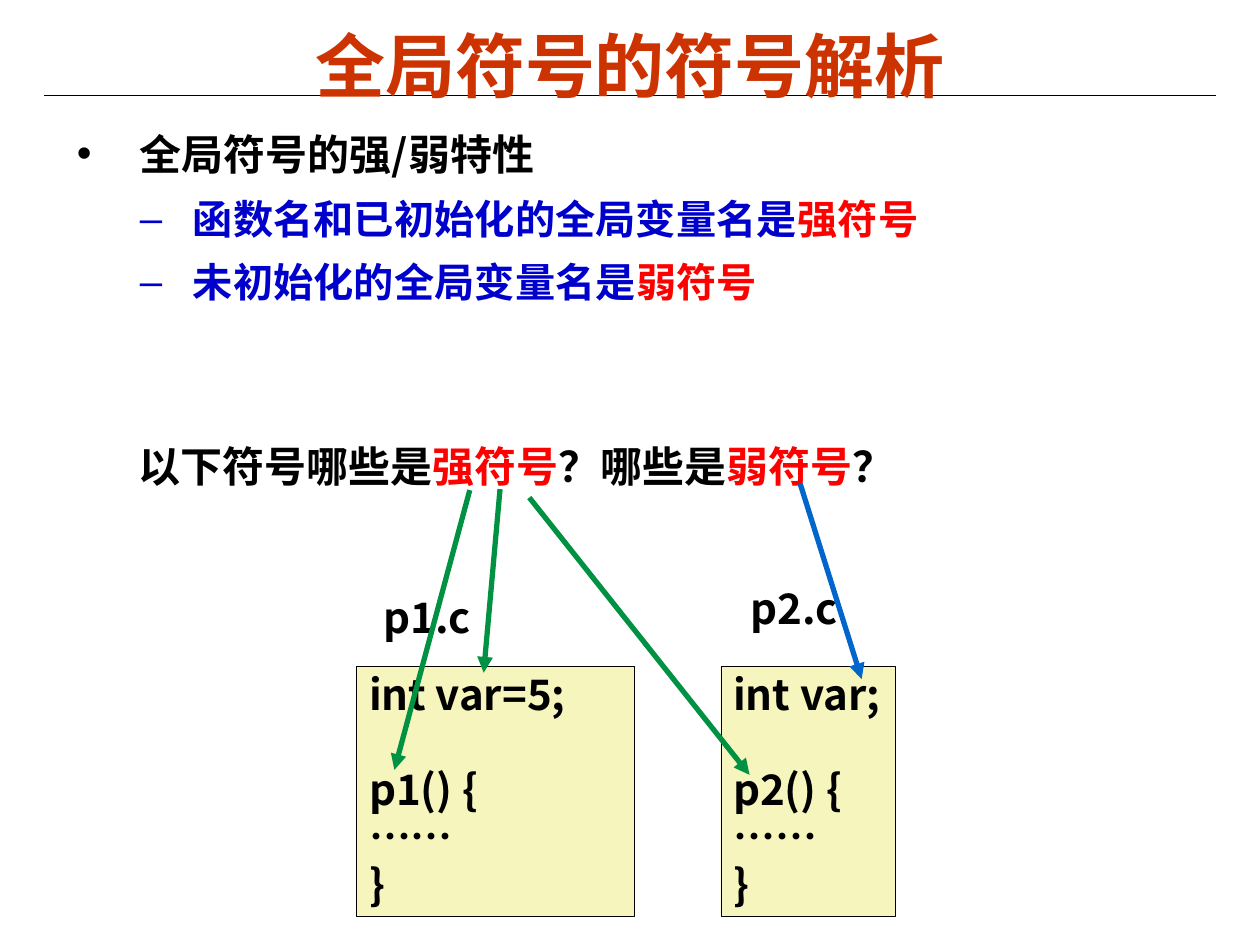
from dataclasses import dataclass

from lxml.etree import SubElement
from pptx import Presentation
from pptx.dml.color import RGBColor
from pptx.enum.shapes import MSO_CONNECTOR, MSO_SHAPE
from pptx.enum.text import MSO_ANCHOR as Anchor, PP_ALIGN as Align
from pptx.oxml.ns import qn
from pptx.util import Cm, Pt

COLORS = {
    "black": "000000", "white": "FFFFFF", "title": "CC3300", "point": "0000CC",
    "key": "FF0000", "code": "F6F5BD", "strong": "009242", "weak": "0066CC",
}
SANS = "Noto Sans CJK SC"
CODE_SPACING = 0.94


@dataclass(frozen=True)
class Run:
    text: str
    color: str = "black"


@dataclass(frozen=True)
class Bullet:
    mark: str
    margin: float
    hang: float


@dataclass(frozen=True)
class Line:
    runs: tuple[Run, ...]
    size: float = 24
    font: str = SANS
    bullet: Bullet | None = None
    format: tuple[tuple[str, object], ...] = ()


@dataclass(frozen=True)
class Box:
    left: float
    top: float
    width: float
    height: float

    def lengths(self) -> tuple[Cm, ...]:
        return Cm(self.left), Cm(self.top), Cm(self.width), Cm(self.height)


@dataclass(frozen=True)
class SourceFile:
    name: str
    variable: str
    function: str
    label: Box
    code: Box
    wrap: bool


@dataclass(frozen=True)
class Stroke:
    start: tuple[float, float]
    end: tuple[float, float]
    color: str
    width: float = 3
    arrow: bool = True


def rgb(name: str) -> RGBColor:
    return RGBColor.from_string(COLORS[name])


def write_lines(frame, lines, wrap=True, anchor=Anchor.TOP) -> None:
    frame.word_wrap = wrap
    frame.vertical_anchor = anchor
    for index, line in enumerate(lines):
        paragraph = frame.paragraphs[0] if index == 0 else frame.add_paragraph()
        for name, value in {"alignment": Align.LEFT, **dict(line.format)}.items():
            setattr(paragraph, name, value)
        if line.bullet:
            add_bullet(paragraph, line.bullet)
        for part in line.runs:
            run = paragraph.add_run()
            run.text = part.text
            look = {"name": line.font, "size": Pt(line.size), "bold": True}
            for name, value in look.items():
                setattr(run.font, name, value)
            run.font.color.rgb = rgb(part.color)
            # East Asian glyphs take their typeface from a separate element
            SubElement(run.font._element, qn("a:ea"), typeface=line.font)


def add_bullet(paragraph, bullet: Bullet) -> None:
    properties = paragraph._p.get_or_add_pPr()
    properties.set("marL", str(Cm(bullet.margin)))
    properties.set("indent", str(-Cm(bullet.hang)))
    SubElement(properties, qn("a:buFont"), typeface="Arial")
    SubElement(properties, qn("a:buChar"), char=bullet.mark)


def add_text(slide, box: Box, lines, anchor=Anchor.TOP) -> None:
    write_lines(slide.shapes.add_textbox(*box.lengths()).text_frame, lines, anchor=anchor)


def add_frame(slide, box: Box, lines, outline: str, fill: str | None = None, wrap=False) -> None:
    shape = slide.shapes.add_shape(MSO_SHAPE.RECTANGLE, *box.lengths())
    shape.shadow.inherit = False
    if fill:
        shape.fill.solid()
        shape.fill.fore_color.rgb = rgb(fill)
    else:
        shape.fill.background()
    shape.line.color.rgb = rgb(outline)
    shape.line.width = Pt(0.25)
    write_lines(shape.text_frame, lines, wrap)


def add_source_file(slide, source: SourceFile) -> None:
    """Draw the file's code box and the file name above it."""
    spacing = ("line_spacing", CODE_SPACING)
    gap = ("space_before", Pt(27))
    code = [Line((Run(source.variable),), format=(spacing,)),
            Line((Run(f"{source.function}() {{"),), format=(spacing, gap))]
    code += [Line((Run(text),), format=(spacing,)) for text in ("……", "}")]
    add_frame(slide, source.code, code, "black", "code", source.wrap)
    add_frame(slide, source.label, [Line((Run(source.name),), format=(spacing,))], "white")


def add_stroke(slide, stroke: Stroke) -> None:
    ends = [Cm(value) for value in stroke.start + stroke.end]
    connector = slide.shapes.add_connector(MSO_CONNECTOR.STRAIGHT, *ends)
    connector.line.color.rgb = rgb(stroke.color)
    connector.line.width = Pt(stroke.width)
    if stroke.arrow:
        SubElement(connector.line._get_or_add_ln(), qn("a:tailEnd"), type="triangle")
    SubElement(connector._element.spPr, qn("a:effectLst"))


def point(text: str, key: str) -> Line:
    return Line((Run(text, "point"), Run(key, "key")), 23, "Arial", Bullet("–", 2.34, 1.07),
                (("level", 1), ("line_spacing", 1.15), ("space_before", Pt(4.6))))


TITLE = Line((Run("全局符号的符号解析", "title"),), 40, "Arial",
             format=(("alignment", Align.CENTER),))
POINTS = [
    Line((Run("全局符号的强/弱特性"),), bullet=Bullet("•", 1.27, 1.27),
         format=(("line_spacing", 1.15), ("space_before", Pt(4.8)))),
    point("函数名和已初始化的全局变量名是", "强符号"),
    point("未初始化的全局变量名是", "弱符号"),
]
QUESTION = Line((Run("以下符号哪些是"), Run("强符号", "key"), Run("？哪些是"),
                 Run("弱符号", "key"), Run("？")))
SOURCES = [
    SourceFile("p1.c", "int var=5;", "p1", Box(7.49, 11.89, 2.29, 1.22),
               Box(7.19, 13.44, 5.59, 5.03), True),
    SourceFile("p2.c", "int var;", "p2", Box(14.88, 11.71, 2.29, 1.22),
               Box(14.53, 13.44, 3.51, 5.03), False),
]
TITLE_RULE = Stroke((0.89, 1.93), (24.51, 1.93), "black", 0.75, False)
ANSWERS = [
    Stroke((10.08, 9.86), (9.75, 13.56), "strong"),
    Stroke((9.47, 9.88), (7.95, 15.52), "strong"),
    Stroke((10.67, 10.03), (15.11, 15.62), "strong"),
    Stroke((16.13, 9.75), (17.37, 13.69), "weak"),
]


def main() -> None:
    deck = Presentation()
    deck.slide_width, deck.slide_height = Cm(25.4), Cm(19.05)
    slide = deck.slides.add_slide(deck.slide_layouts[6])
    add_stroke(slide, TITLE_RULE)
    add_text(slide, Box(1.27, 0.53, 22.86, 1.55), [TITLE], Anchor.MIDDLE)
    add_text(slide, Box(1.3, 2.31, 22.86, 14.5), POINTS)
    for source in SOURCES:
        add_source_file(slide, source)
    add_text(slide, Box(2.54, 8.76, 17.7, 1.27), [QUESTION])
    for answer in ANSWERS:
        add_stroke(slide, answer)
    deck.save("out.pptx")


if __name__ == "__main__":
    main()
